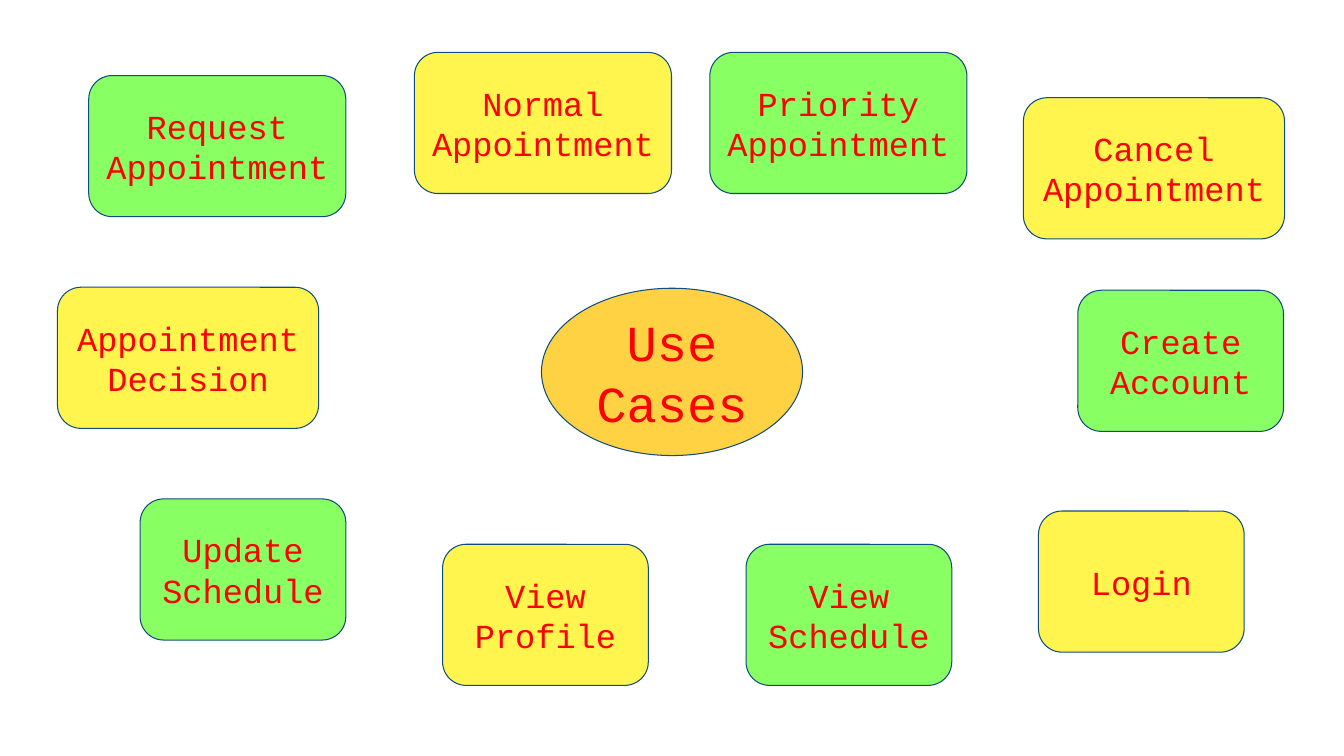
import itertools

import pptx
import pptx.dml.color
import pptx.enum.shapes
import pptx.enum.text
import pptx.util

Inches = pptx.util.Inches
SHAPES = pptx.enum.shapes.MSO_SHAPE

GREEN, YELLOW, ORANGE = "88FF62", "FFF54E", "FFD244"
OUTLINE, RED = "104C7E", "FF0000"
CASE_HEIGHT = 1.4

# Use cases clockwise from the top left: text, left, top, width
USE_CASES = [
    ("Request Appointment", 0.88, 0.75, 2.55),
    ("Normal Appointment", 4.11, 0.52, 2.55),
    ("Priority Appointment", 7.04, 0.52, 2.55),
    ("Cancel Appointment", 10.15, 0.97, 2.59),
    ("Create Account", 10.69, 2.88, 2.04),
    ("Login", 10.3, 5.07, 2.04),
    ("View Schedule", 7.4, 5.4, 2.04),
    ("View Profile", 4.39, 5.4, 2.04),
    ("Update Schedule", 1.39, 4.95, 2.04),
    ("Appointment Decision", 0.57, 2.85, 2.59),
]


def color(hex_code):
    return pptx.dml.color.RGBColor.from_string(hex_code)


def write_text(shape, text, size=24, font="Courier New", ink=RED):
    frame = shape.text_frame
    frame.word_wrap = True
    frame.vertical_anchor = pptx.enum.text.MSO_ANCHOR.MIDDLE
    frame.margin_left = frame.margin_right = Inches(0.1)
    frame.margin_top = frame.margin_bottom = Inches(0.1)
    para = frame.paragraphs[0]
    para.alignment = pptx.enum.text.PP_ALIGN.CENTER
    span = para.add_run()
    span.text = text
    span.font.size = pptx.util.Pt(size)
    span.font.name = font
    span.font.color.rgb = color(ink)


def add_bubble(page, kind, box, text, fill, **text_format):
    bubble = page.shapes.add_shape(kind, *map(Inches, box))
    bubble.shadow.inherit = False
    bubble.fill.solid()
    bubble.fill.fore_color.rgb = color(fill)
    bubble.line.color.rgb = color(OUTLINE)
    bubble.line.width = pptx.util.Pt(0.75)
    write_text(bubble, text, **text_format)


def add_use_case_ring(page):
    # Fills alternate around the ring
    fills = itertools.cycle([GREEN, YELLOW])
    for (text, left, top, width), fill in zip(USE_CASES, fills):
        box = (left, top, width, CASE_HEIGHT)
        add_bubble(page, SHAPES.ROUNDED_RECTANGLE, box, text, fill)


def main():
    deck = pptx.Presentation()
    deck.slide_width, deck.slide_height = Inches(13.33), Inches(7.5)
    page = deck.slides.add_slide(deck.slide_layouts[6])

    # Central topic
    add_bubble(page, SHAPES.FLOWCHART_CONNECTOR, (5.37, 2.86, 2.59, 1.66),
               "Use Cases", ORANGE, size=36)
    # Surrounding use cases
    add_use_case_ring(page)

    deck.save("out.pptx")


if __name__ == "__main__":
    main()
